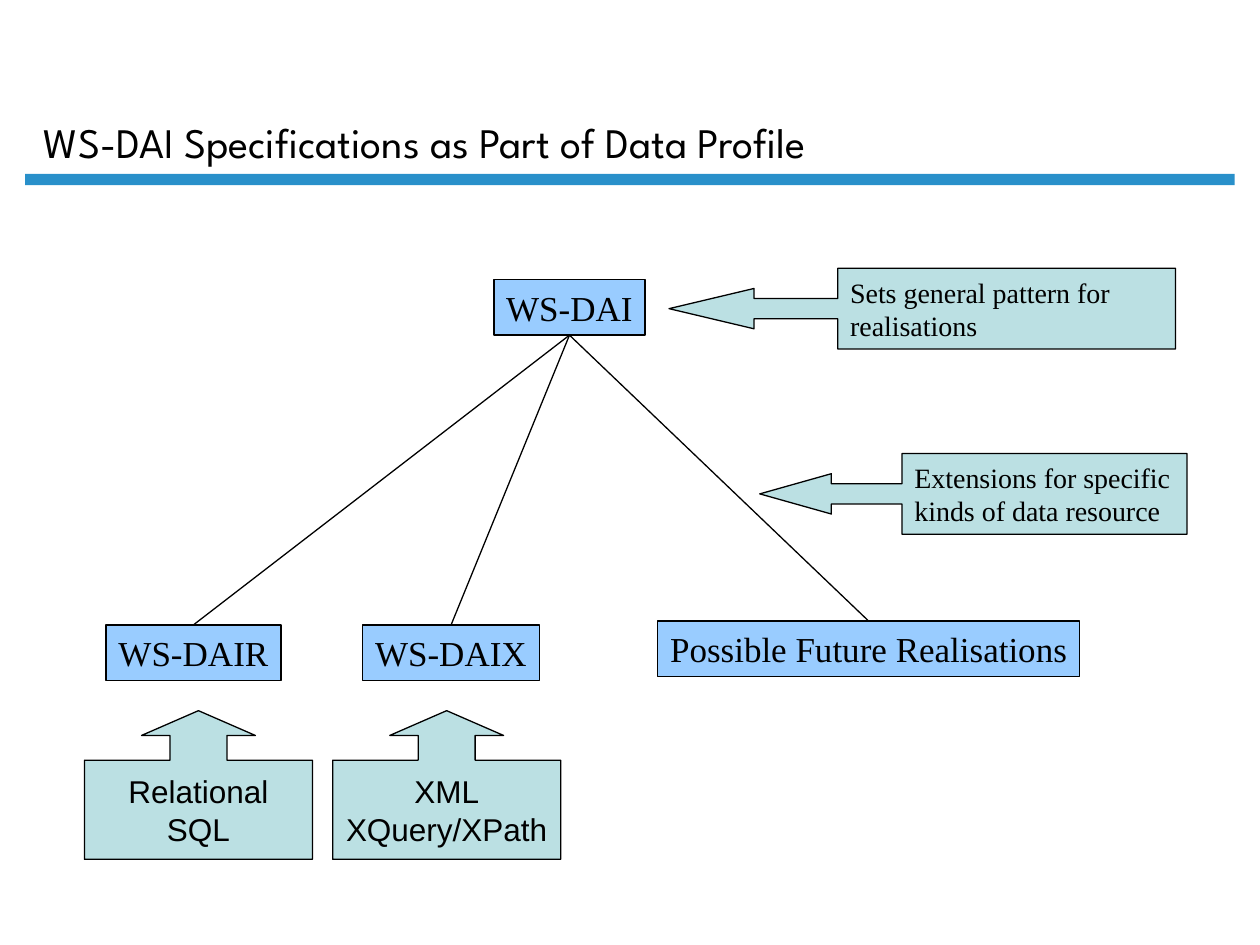
from lxml import etree
from pptx import Presentation
from pptx import util as u
from pptx.dml.color import RGBColor
from pptx.enum import shapes as es, text as et
from pptx.oxml.ns import qn

HUES = {"bar": "2990CA", "box": "99CCFF", "call": "BBE0E3", "ink": "000000"}
MSO = es.MSO_SHAPE
LEFT, MID = et.PP_ALIGN.LEFT, et.PP_ALIGN.CENTER

deck = Presentation()
deck.slide_width, deck.slide_height = u.Inches(10), u.Inches(7.5)
slide = deck.slides.add_slide(deck.slide_layouts[6])


def write(shape, words, size, font="Times New Roman", align=MID,
          wrap=False, anchor=et.MSO_ANCHOR.MIDDLE):
    frame = shape.text_frame
    frame.word_wrap = wrap
    frame.vertical_anchor = anchor
    frame.text = words
    for para in frame.paragraphs:
        para.alignment = align
        para.font.size = u.Pt(size)
        para.font.name = font
        para.font.color.rgb = RGBColor.from_string(HUES["ink"])


def draw(kind, spot, hue, edge=True):
    shape = slide.shapes.add_shape(kind, *[u.Inches(n) for n in spot])
    shape.shadow.inherit = False
    shape.fill.solid()
    shape.fill.fore_color.rgb = RGBColor.from_string(HUES[hue])
    if edge:
        shape.line.color.rgb = RGBColor.from_string(HUES["ink"])
        shape.line.width = u.Pt(0.75)
    else:
        shape.line.fill.background()
    return shape


# Title and rule
draw(MSO.RECTANGLE, (0.2, 1.38, 9.6, 0.09), "bar", edge=False)
title = slide.shapes.add_textbox(*[u.Inches(n) for n in (0.25, 0.12, 8.56, 1.25)])
write(title, "WS-DAI Specifications as Part of Data Profile", 24,
      font="League Spartan", align=LEFT, wrap=True, anchor=et.MSO_ANCHOR.BOTTOM)

# Specification boxes, root first
specs = [
    ("WS-DAI", 3.92, 2.22, 1.2),
    ("WS-DAIR", 0.84, 4.96, 1.39),
    ("WS-DAIX", 2.88, 4.96, 1.4),
    ("Possible Future Realisations", 5.22, 4.93, 3.35),
]
boxes = []
for words, x, y, wide in specs:
    box = draw(MSO.RECTANGLE, (x, y, wide, 0.44), "box")
    write(box, words, 20)
    boxes.append(box)

# Lines from each realisation up to the root
root, *kids = boxes
for kid in kids:
    line = slide.shapes.add_connector(es.MSO_CONNECTOR.STRAIGHT, 0, 0, 0, 0)
    line.begin_connect(kid, 0)
    line.end_connect(root, 2)
    line.line.color.rgb = RGBColor.from_string(HUES["ink"])
    line.line.width = u.Pt(0.75)
    etree.SubElement(line._element.spPr, qn("a:effectLst"))

# Callouts: side notes, then query languages
side = {"size": 16, "align": LEFT, "wrap": True}
lang = {"size": 18, "font": "Arial"}
calls = [
    ("Sets general pattern for realisations", MSO.LEFT_ARROW_CALLOUT,
     (5.31, 2.13, 4.02, 0.64), (0.25, 0.25, 1.054, 0.667), side),
    ("Extensions for specific kinds of data resource", MSO.LEFT_ARROW_CALLOUT,
     (6.03, 3.6, 3.39, 0.64), (0.25, 0.25, 0.888, 0.667), side),
    ("Relational\nSQL", MSO.UP_ARROW_CALLOUT,
     (0.67, 5.64, 1.81, 1.18), (0.383, 0.383, 0.167, 0.667), lang),
    ("XML\nXQuery/XPath", MSO.UP_ARROW_CALLOUT,
     (2.64, 5.64, 1.81, 1.18), (0.383, 0.383, 0.167, 0.667), lang),
]
for words, kind, spot, bends, style in calls:
    call = draw(kind, spot, "call")
    for i, bend in enumerate(bends):
        call.adjustments[i] = bend
    write(call, words, **style)

deck.save("out.pptx")
